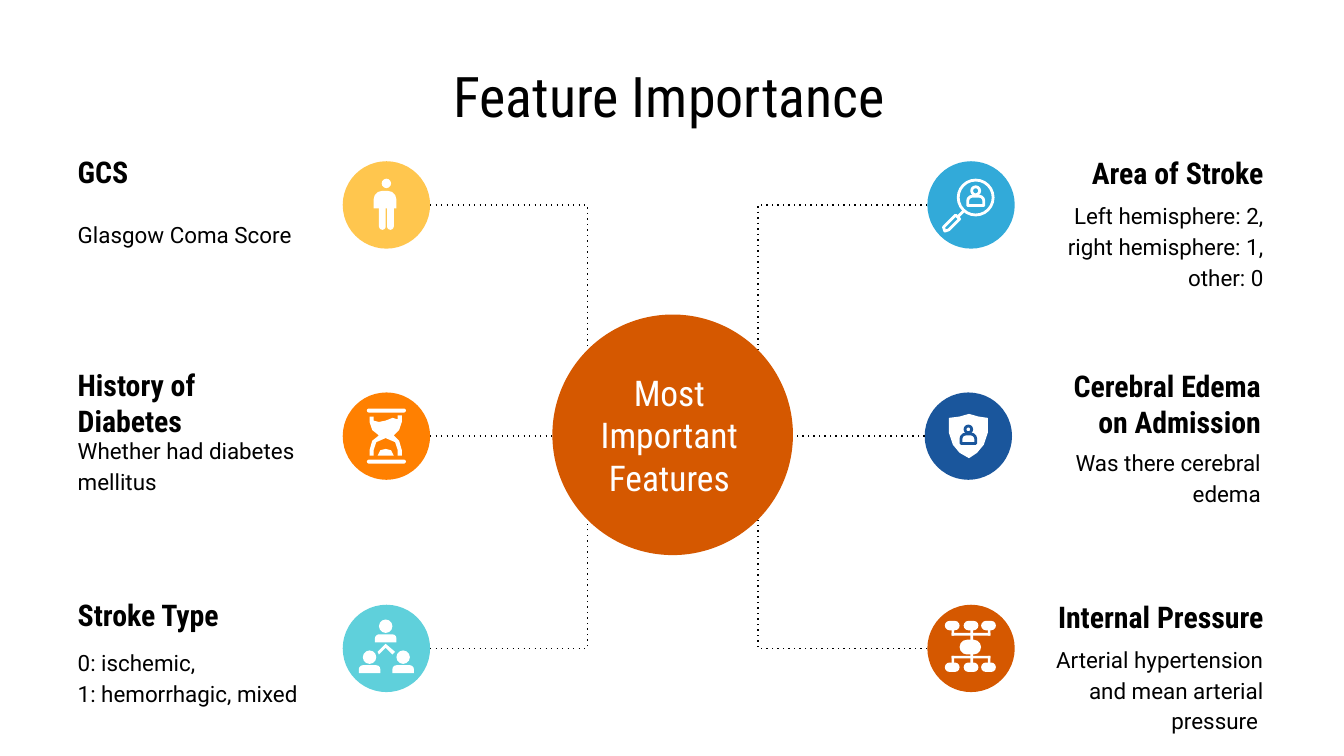
from lxml.etree import SubElement
from pptx import Presentation
from pptx.dml.color import RGBColor
from pptx.enum.shapes import MSO_CONNECTOR, MSO_SHAPE
from pptx.enum.text import MSO_ANCHOR, PP_ALIGN
from pptx.oxml.ns import qn
from pptx.util import Inches, Pt

COLORS = {
    "black": "000000", "white": "FFFFFF", "yellow": "FFC64E", "orange": "FF8001",
    "teal": "5FD0DB", "sky": "32AAD9", "navy": "1A569C", "rust": "D55800",
}
OVAL, PILL, BUST = MSO_SHAPE.OVAL, MSO_SHAPE.ROUNDED_RECTANGLE, MSO_SHAPE.ROUND_2_SAME_RECTANGLE
BAR, OUTLINE = MSO_SHAPE.RECTANGLE, "outline"
BADGE = 0.65
HUB = (4.11, 2.34, 1.79, 1.79)
HUB_INSET = 0.26
BADGE_ROWS = (1.2, 2.92, 4.5)

ICONS = {
    "person": [(OVAL, (.29, .13, .07, .07)), (BUST, (.23, .22, .17, .13)),
               (PILL, (.27, .24, .05, .27)), (PILL, (.33, .24, .05, .27))],
    "hourglass": [
        (PILL, (.18, .12, .29, .03)), (PILL, (.18, .5, .29, .03)),
        ("polygon", [(.2, .18), (.23, .18), (.23, .21), (.27, .22), (.32, .21), (.37, .19),
                     (.41, .2), (.41, .17), (.44, .17), (.44, .22), (.42, .28), (.38, .32),
                     (.42, .36), (.44, .43), (.44, .47), (.41, .47), (.41, .43), (.39, .37),
                     (.32, .34), (.25, .37), (.23, .43), (.23, .47), (.2, .47), (.2, .43),
                     (.22, .36), (.27, .32), (.22, .28), (.2, .22)]),
        ("polygon", [(.26, .47), (.28, .43), (.32, .42), (.36, .43), (.38, .47)])],
    "team": [part for x, y in ((.24, .11), (.12, .34), (.37, .34))
             for part in ((OVAL, (x + .03, y, .1, .1)), (BUST, (x, y + .11, .16, .06)))]
            + [("polygon", [(.32, .29), (.39, .35), (.37, .37), (.32, .32), (.27, .37), (.26, .35)])],
    "magnifier": [
        (OVAL, (.23, .14, .26, .26), OUTLINE), (OVAL, (.33, .19, .06, .06), OUTLINE),
        (BUST, (.3, .26, .12, .07), OUTLINE),
        ("polygon", [(.21, .4), (.24, .43), (.16, .51), (.13, .52), (.12, .49)], OUTLINE),
        ("polygon", [(.22, .42), (.27, .37)], OUTLINE)],
    "shield": [
        ("polygon", [(.18, .19), (.26, .18), (.33, .16), (.4, .18), (.47, .19), (.47, .3),
                     (.44, .39), (.39, .45), (.33, .49), (.26, .45), (.21, .39), (.18, .3)]),
        (OVAL, (.3, .25, .05, .05), OUTLINE, "navy"), (BUST, (.27, .31, .11, .07), OUTLINE, "navy")],
    "flowchart": [(PILL, (x, y, .11, .07)) for x in (.13, .27, .4) for y in (.12, .43)]
                 + [(BAR, (x, y, .02, .06)) for x in (.18, .45) for y in (.17, .38)]
                 + [(BAR, (.18, y, .29, .02)) for y in (.21, .38)]
                 + [(BAR, (.32, .17, .02, .28)), (PILL, (.24, .26, .16, .11))],
}

FEATURES = [
    (0.48, 0, "yellow", "person", "GCS", "Glasgow Coma Score"),
    (0.48, 1, "orange", "hourglass", "History of Diabetes", "Whether had diabetes mellitus"),
    (0.48, 2, "teal", "team", "Stroke Type", "0: ischemic,\n1: hemorrhagic, mixed"),
    (7.67, 0, "sky", "magnifier", "Area of Stroke",
     "Left hemisphere: 2, right hemisphere: 1, other: 0"),
    (7.65, 1, "navy", "shield", "Cerebral Edema on Admission", "Was there cerebral edema"),
    (7.67, 2, "rust", "flowchart", "Internal Pressure",
     "Arterial hypertension and mean arterial pressure "),
]


def rgb(name):
    """Return the named colour."""
    return RGBColor.from_string(COLORS[name])


def add_text(slide, box, text, size, font, align, color="black", bold=False, spacing=None):
    """Place middle-anchored text in a box."""
    frame = slide.shapes.add_textbox(*map(Inches, box)).text_frame
    frame.word_wrap = True
    frame.vertical_anchor = MSO_ANCHOR.MIDDLE
    frame.margin_left = frame.margin_right = frame.margin_top = frame.margin_bottom = Inches(0.1)
    frame.text = text
    for paragraph in frame.paragraphs:
        paragraph.alignment = align
        paragraph.line_spacing = spacing
        for run in paragraph.runs:
            run.font.size, run.font.name, run.font.bold = Pt(size), font, bold
            run.font.color.rgb = rgb(color)


def paint(shape, color, style="solid"):
    """Fill a shape, or only outline it."""
    shape.shadow.inherit = False
    if style == OUTLINE:
        shape.fill.background()
        shape.line.color.rgb = rgb(color)
        shape.line.width = Pt(1.5)
    else:
        shape.fill.solid()
        shape.fill.fore_color.rgb = rgb(color)
        shape.line.fill.background()


def add_icon(slide, left, top, parts):
    """Draw icon parts relative to the corner of their badge."""
    for kind, geometry, *look in parts:
        style, color = look + ["solid", "white"][len(look):]
        if kind == "polygon":
            points = [(Inches(left + x), Inches(top + y)) for x, y in geometry]
            builder = slide.shapes.build_freeform(*points[0])
            builder.add_line_segments(points[1:], close=len(points) > 2)
            shape = builder.convert_to_shape()
        else:
            x, y, width, height = geometry
            shape = slide.shapes.add_shape(
                kind, *map(Inches, (left + x, top + y, width, height)))
            if kind in (PILL, BUST):
                shape.adjustments[0] = 0.5
        paint(shape, color, style)


def add_link(slide, start, end):
    """Join a badge to the hub with a dotted line, bent when the heights differ."""
    bent = abs(start[1] - end[1]) > 0.01
    kind = MSO_CONNECTOR.ELBOW if bent else MSO_CONNECTOR.STRAIGHT
    link = slide.shapes.add_connector(kind, *map(Inches, start + end))
    link.line.color.rgb = rgb("black")
    link.line.width = Pt(0.75)
    properties = link.element.spPr
    if bent:
        properties.find(qn("a:prstGeom")).set("prst", "bentConnector2")
    SubElement(properties.find(qn("a:ln")), qn("a:prstDash")).set("val", "dot")
    SubElement(properties, qn("a:effectLst"))


def add_feature(slide, left, row, color, icon, heading, detail):
    """Place one feature: heading, detail, badge with icon, and link to the hub."""
    on_left = left < HUB[0]
    badge_left = left + 2.07 if on_left else left - 0.77
    badge_top = BADGE_ROWS[row]
    top = badge_top - (0.05 if on_left else 0.04)
    width, gap, align = (1.85, 0.33, PP_ALIGN.LEFT) if on_left else (1.83, 0.41, PP_ALIGN.RIGHT)
    add_text(slide, (left, top, width, 0.25), heading, 16, "Roboto Condensed", align, bold=True)
    add_text(slide, (left, top + gap, width, 0.5), detail, 12, "Roboto", align, spacing=1.15)

    badge = slide.shapes.add_shape(OVAL, *map(Inches, (badge_left, badge_top, BADGE, BADGE)))
    paint(badge, color)
    add_icon(slide, badge_left, badge_top, ICONS[icon])

    hub_left, hub_top, hub_width, hub_height = HUB
    middle = badge_top + BADGE / 2
    inset = 0 if row == 1 else HUB_INSET
    hub_x = hub_left + inset if on_left else hub_left + hub_width - inset
    hub_y = (hub_top + inset, middle, hub_top + hub_height - inset)[row]
    add_link(slide, (badge_left + BADGE if on_left else badge_left, middle), (hub_x, hub_y))


def add_hub(slide, box):
    """Place the central circle and its label."""
    left, top, width, _ = box
    paint(slide.shapes.add_shape(OVAL, *map(Inches, box)), "rust")
    add_text(slide, (left + 0.08, top + 0.57, width - 0.21, BADGE), "Most Important Features",
             19, "Roboto Condensed", PP_ALIGN.CENTER, "white")


def main():
    """Build and save the slide."""
    deck = Presentation()
    deck.slide_width = Inches(10)
    deck.slide_height = deck.slide_width * 9 // 16
    slide = deck.slides.add_slide(deck.slide_layouts[6])
    add_text(slide, (0.48, 0.44, 9, 0.53), "Feature Importance", 30, "Roboto Condensed",
             PP_ALIGN.CENTER)
    for feature in FEATURES:
        add_feature(slide, *feature)
    add_hub(slide, HUB)
    deck.save("out.pptx")


if __name__ == "__main__":
    main()
